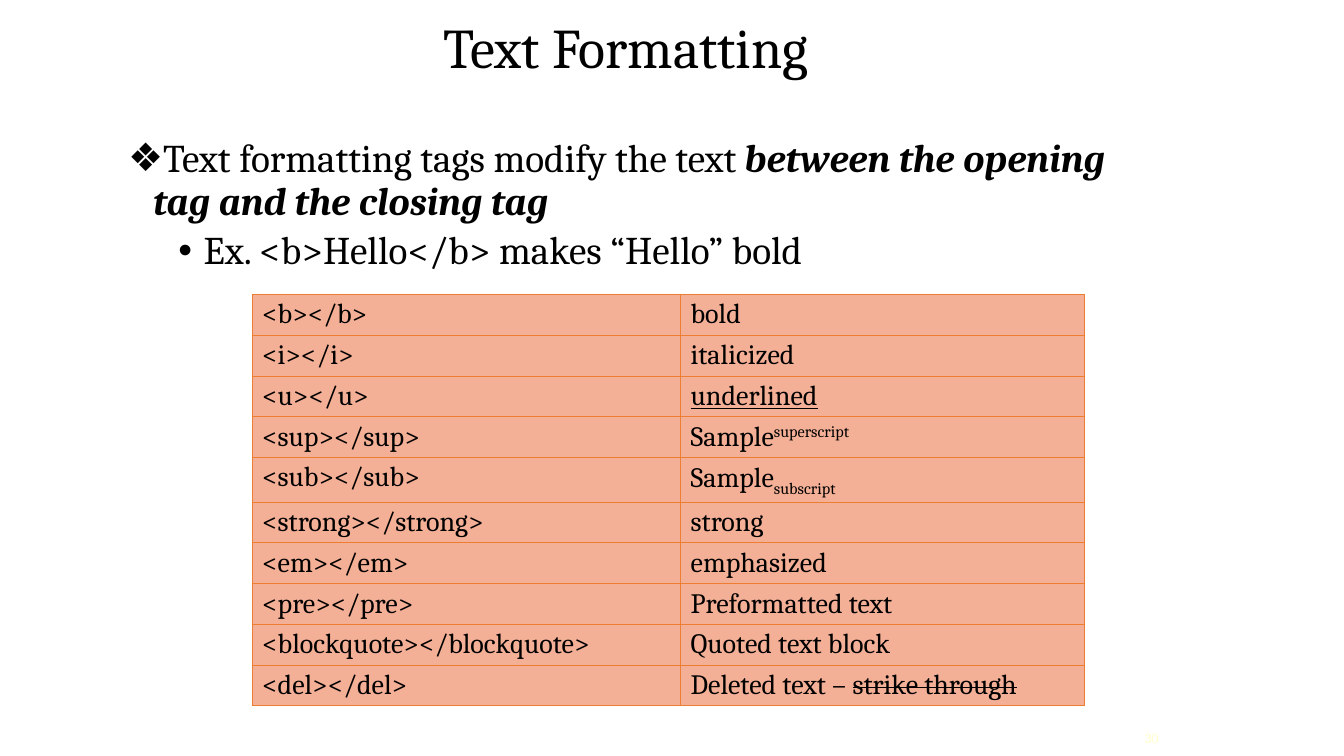
from dataclasses import dataclass

from lxml import etree
from pptx import Presentation
from pptx.dml.color import RGBColor
from pptx.enum.text import MSO_ANCHOR, MSO_AUTO_SIZE, PP_ALIGN
from pptx.oxml.ns import qn
from pptx.util import Inches, Pt

MIDDLE, TOP = MSO_ANCHOR.MIDDLE, MSO_ANCHOR.TOP
LEFT, RIGHT = PP_ALIGN.LEFT, PP_ALIGN.RIGHT
NO_FIT = MSO_AUTO_SIZE.NONE


@dataclass(frozen=True)
class Theme:
    font: str = "Cambria"
    ink: str = "000000"
    cell: str = "F4B096"
    border: str = "ED7D31"
    faint: str = "FFFFCC"
    title_size: int = 40
    body_size: int = 28
    table_size: int = 20
    number_size: int = 10
    border_width: float = 0.5


THEME = Theme()
SLIDE_SIZE = (13.33, 7.5)

# A span is (text, style); styles name the effect on the run.
TITLE = "Text Formatting"
BULLETS = [
    ("❖", 0, [("Text formatting tags modify the text ", ""),
              ("between the opening tag and the closing tag", "bold italic")]),
    ("•", 1, [("Ex. <b>Hello</b> makes “Hello” bold", "")]),
]
TAGS = [
    ("b", [("bold", "")]),
    ("i", [("italicized", "")]),
    ("u", [("underlined", "underline")]),
    ("sup", [("Sample", ""), ("superscript", "superscript")]),
    ("sub", [("Sample", ""), ("subscript", "subscript")]),
    ("strong", [("strong", "")]),
    ("em", [("emphasized", "")]),
    ("pre", [("Preformatted text", "")]),
    ("blockquote", [("Quoted text block", "")]),
    ("del", [("Deleted text – ", ""), ("strike through", "strike")]),
]
PAGE_NUMBER = "30"

TITLE_BOX = (4.3, 0.02, 7.17, 0.99)
BODY_BOX = (1.17, 1.33, 10.25, 6.28)
NUMBER_BOX = (10.59, 7.15, 1, 0.35)
TABLE_CORNER = (2.5, 2.92)
COLUMN_WIDTHS = (4.25, 4)
ROW_HEIGHT = 0.4

RUN_ATTRIBUTES = {
    "superscript": ("baseline", "30000"),
    "subscript": ("baseline", "-25000"),
    "strike": ("strike", "sngStrike"),
}


def place(shape, box):
    shape.left, shape.top, shape.width, shape.height = map(Inches, box)


def write(para, spans, size, color=THEME.ink):
    para.font.name = THEME.font
    para.font.size = Pt(size)
    para.font.color.rgb = RGBColor.from_string(color)
    for text, style in spans:
        span = para.add_run()
        span.text = text
        for effect in style.split():
            if effect in RUN_ATTRIBUTES:
                span.font._element.set(*RUN_ATTRIBUTES[effect])
            else:
                setattr(span.font, effect, True)


def set_bullet(para, mark, level):
    properties = para._p.get_or_add_pPr()
    properties.set("marL", str(Inches(0.25 + 0.5 * level)))
    properties.set("indent", str(Inches(-0.25)))
    etree.SubElement(properties, qn("a:buFont")).set("typeface", "Arial")
    etree.SubElement(properties, qn("a:buChar")).set("char", mark)


def set_borders(cell):
    properties = cell._tc.get_or_add_tcPr()
    for position, side in enumerate(("lnL", "lnR", "lnT", "lnB")):
        line = etree.Element(qn(f"a:{side}"), w=str(Pt(THEME.border_width)))
        fill = etree.SubElement(line, qn("a:solidFill"))
        etree.SubElement(fill, qn("a:srgbClr")).set("val", THEME.border)
        properties.insert(position, line)


def add_title(page):
    title = page.shapes.title
    place(title, TITLE_BOX)
    frame = title.text_frame
    frame.vertical_anchor = MIDDLE
    frame.auto_size = NO_FIT
    para = frame.paragraphs[0]
    para.alignment = LEFT
    para.line_spacing = Pt(THEME.title_size)
    write(para, [(TITLE, "")], THEME.title_size)


def add_bullets(page):
    body = page.placeholders[1]
    place(body, BODY_BOX)
    frame = body.text_frame
    frame.vertical_anchor = TOP
    frame.auto_size = NO_FIT
    for index, (mark, level, spans) in enumerate(BULLETS):
        para = frame.add_paragraph() if index else frame.paragraphs[0]
        para.level = level
        set_bullet(para, mark, level)
        para.line_spacing = 0.9
        para.space_before = Pt(5 if index else 0)
        write(para, spans, THEME.body_size)


def add_tag_table(page):
    size = (sum(COLUMN_WIDTHS), ROW_HEIGHT * len(TAGS))
    frame = page.shapes.add_table(len(TAGS), len(COLUMN_WIDTHS),
                                  *map(Inches, TABLE_CORNER + size))
    table = frame.table
    table.first_row = table.horz_banding = False
    for column, width in zip(table.columns, COLUMN_WIDTHS):
        column.width = Inches(width)
    for row, (tag, sample) in zip(table.rows, TAGS):
        for cell, spans in zip(row.cells, ([(f"<{tag}></{tag}>", "")], sample)):
            cell.fill.solid()
            cell.fill.fore_color.rgb = RGBColor.from_string(THEME.cell)
            set_borders(cell)
            para = cell.text_frame.paragraphs[0]
            para.line_spacing = 0.95
            write(para, spans, THEME.table_size)


def add_page_number(page):
    box = page.shapes.add_textbox(*map(Inches, NUMBER_BOX))
    frame = box.text_frame
    frame.word_wrap = True
    frame.vertical_anchor = MIDDLE
    para = frame.paragraphs[0]
    para.alignment = RIGHT
    write(para, [(PAGE_NUMBER, "")], THEME.number_size, THEME.faint)


def main():
    deck = Presentation()
    deck.slide_width, deck.slide_height = map(Inches, SLIDE_SIZE)
    page = deck.slides.add_slide(deck.slide_layouts[1])
    add_title(page)
    add_bullets(page)
    add_tag_table(page)
    add_page_number(page)
    deck.save("out.pptx")


if __name__ == "__main__":
    main()
